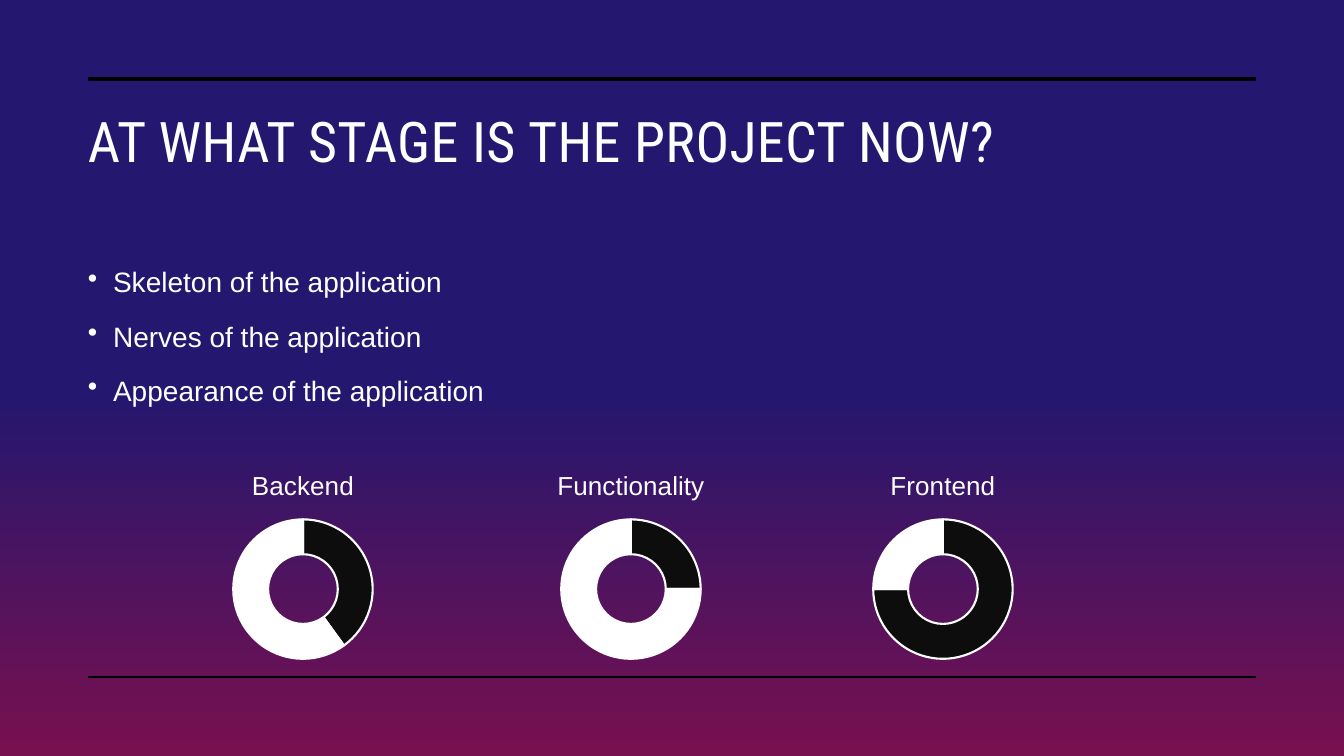
from copy import deepcopy

from lxml.etree import SubElement
from pptx import Presentation
from pptx.chart.data import CategoryChartData
from pptx.dml.color import RGBColor
from pptx.enum.chart import XL_CHART_TYPE as CHART
from pptx.enum.shapes import MSO_CONNECTOR as CONNECTOR
from pptx.oxml import parse_xml
from pptx.oxml.ns import nsdecls, qn
from pptx.util import Pt

PX = 914400 / 100.8
WHITE = RGBColor(0xFF, 0xFF, 0xFF)
BLACK = RGBColor(0x00, 0x00, 0x00)
INK = RGBColor(0x0D, 0x0D, 0x0D)
NAVY = RGBColor(0x24, 0x17, 0x6F)
WINE = RGBColor(0x78, 0x10, 0x4F)


def px(*lengths):
    return [round(n * PX) for n in lengths]


def put_text(p, text, font="Arial", size=20, color=WHITE, spacing=0):
    r = p.add_run()
    r.text = text
    r.font.name, r.font.size, r.font.bold = font, Pt(size), False
    r.font.color.rgb = color
    if spacing:
        r._r.get_or_add_rPr().set("spc", str(spacing))


def manual_layout(**values):
    tags = "".join(f'<c:{k} val="{v}"/>' for k, v in values.items())
    return parse_xml(f'<c:layout {nsdecls("c")}><c:manualLayout>{tags}'
                     '</c:manualLayout></c:layout>')


class Deck:
    """Draws styled elements on the current slide."""

    def __init__(self, width, height):
        self.prs = Presentation()
        self.prs.slide_width, self.prs.slide_height = px(width, height)
        self.s = self.prs.slides.add_slide(self.prs.slide_layouts[6])

    def background(self, stops, angle):
        fill = self.s.background.fill
        fill.gradient()
        fill.gradient_angle = angle
        gs_list = self.s._element.find(".//" + qn("a:gsLst"))
        while len(gs_list) < len(stops):
            gs_list.append(deepcopy(gs_list[-1]))
        for stop, (position, color) in zip(fill.gradient_stops, stops):
            stop.position, stop.color.rgb = position, color

    def rule(self, x1, x2, y, width):
        line = self.s.shapes.add_connector(CONNECTOR.STRAIGHT, *px(x1, y, x2, y))
        line.line.color.rgb, line.line.width = BLACK, Pt(width)
        SubElement(line._element.spPr, qn("a:effectLst"))

    def text(self, box, lines, bullet=False, **style):
        tf = self.s.shapes.add_textbox(*px(*box)).text_frame
        tf.word_wrap = True
        for i, line in enumerate(lines):
            p = tf.paragraphs[0] if i == 0 else tf.add_paragraph()
            put_text(p, line, **style)
            if bullet:
                p.line_spacing, p.space_before = 1.2, Pt(10)
                pPr = p._p.get_or_add_pPr()
                pPr.set("marL", "228600")
                pPr.set("indent", "-228600")
                SubElement(pPr, qn("a:buChar")).set("char", "•")

    def doughnut(self, x, y, w, h, title, title_x, done):
        data = CategoryChartData()
        data.categories = ["1", "2", "3", "4"]
        data.add_series("Series 1", [done, 100 - done, None, None])
        chart = self.s.shapes.add_chart(CHART.DOUGHNUT, *px(x, y, w, h), data).chart
        chart.has_legend = False
        chart.font.name, chart.font.size = "Arial", Pt(10)
        chart.font.color.rgb = BLACK
        put_text(chart.chart_title.text_frame.paragraphs[0], title, size=18.6)
        chart.chart_title.include_in_layout = False
        chart.chart_title._element.find(qn("c:tx")).addnext(manual_layout(
            xMode="edge", yMode="edge", x=round((title_x - x) / w, 2), y=0.07))
        plot = chart.plots[0]
        plot.vary_by_categories = True
        plot._element.find(qn("c:holeSize")).set("val", "75")
        area = chart._chartSpace.chart.plotArea
        for old in area.findall(qn("c:layout")):
            area.remove(old)
        area.insert(0, manual_layout(
            layoutTarget="inner", xMode="edge", yMode="edge",
            x=0.32, y=0.3, w=0.36, h=0.64))
        for i, color in enumerate((INK, WHITE)):
            fmt = plot.series[0].points[i].format
            fmt.fill.solid()
            fmt.fill.fore_color.rgb = color
            fmt.line.color.rgb, fmt.line.width = WHITE, Pt(1.5)


def main():
    deck = Deck(1344, 756)
    deck.background([(0, WINE), (0.48, NAVY), (1, NAVY)], 90)
    deck.rule(88, 1256, 79, 3.5)
    deck.rule(88, 1256, 677, 1)
    deck.text((78, 102, 1178, 151), ["AT WHAT STAGE IS THE PROJECT NOW?"],
              font="Roboto Condensed", size=40, spacing=30)
    deck.text((78, 253, 1178, 401),
              ["Skeleton of the application", "Nerves of the application",
               "Appearance of the application"], bullet=True)
    for x, title, title_x, done in ((107, "Backend", 252, 40),
                                    (435, "Functionality", 558, 25),
                                    (747, "Frontend", 891, 75)):
        deck.doughnut(x, 454, 392, 218, title, title_x, done)
    deck.prs.save("out.pptx")


if __name__ == "__main__":
    main()
